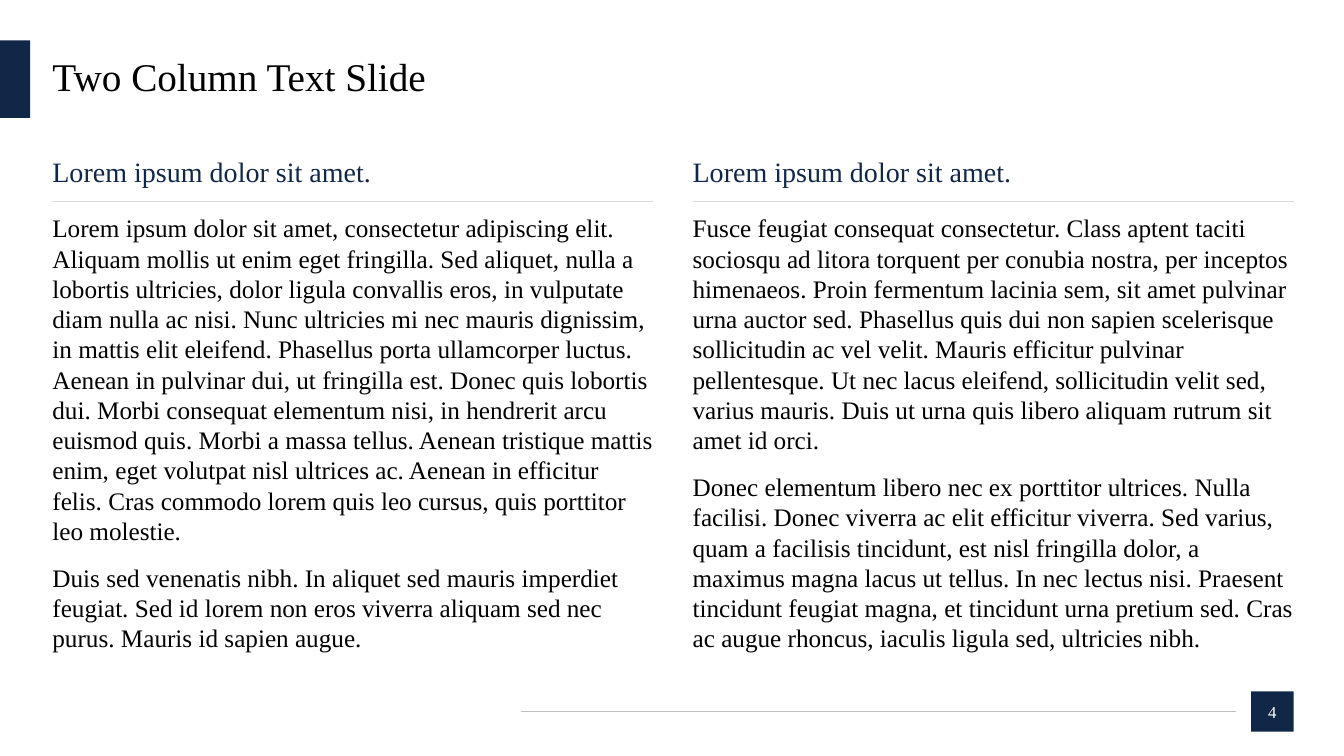
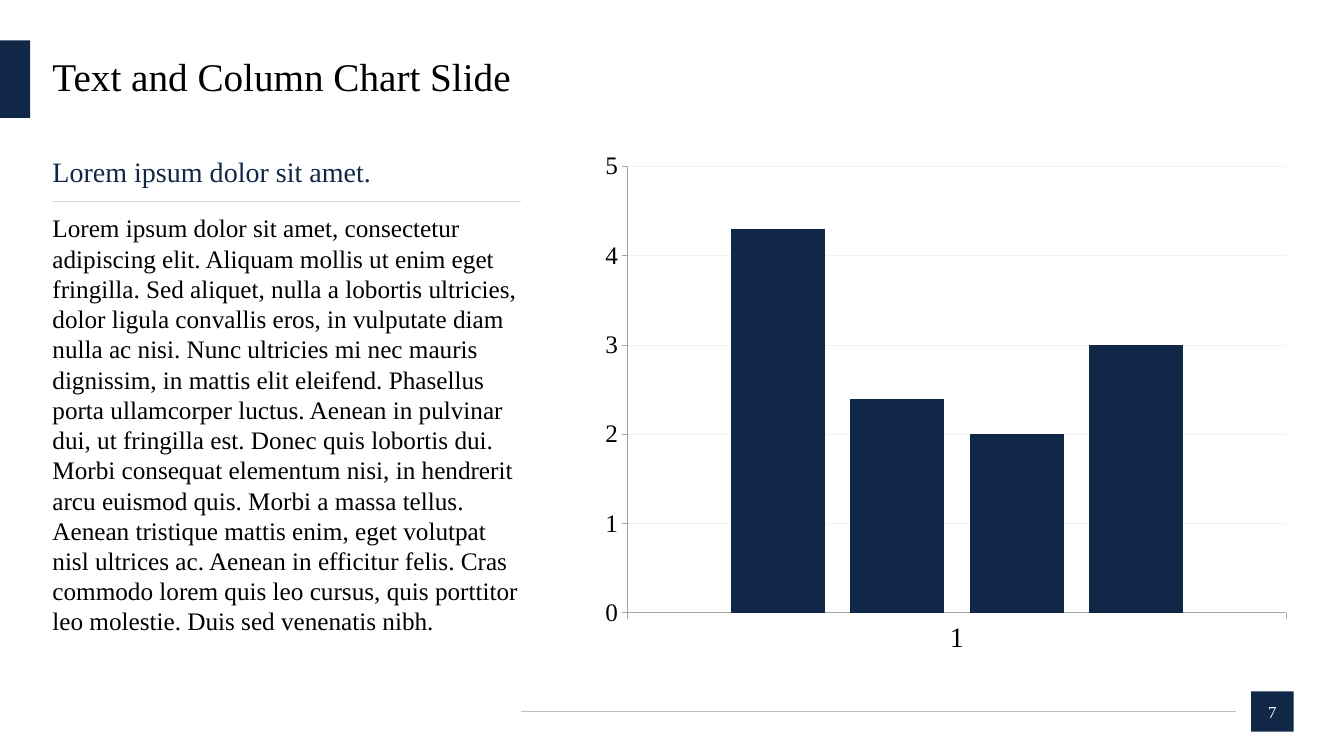
from lxml import etree
from pptx import Presentation
from pptx.chart.data import CategoryChartData
from pptx.dml.color import RGBColor
from pptx.enum.chart import XL_CHART_TYPE as ChartType, XL_TICK_MARK as Tick
from pptx.enum.shapes import MSO_CONNECTOR as Connector, MSO_SHAPE as Shape
from pptx.enum.text import MSO_ANCHOR as Anchor, MSO_AUTO_SIZE as AutoSize, PP_ALIGN as Align
from pptx.oxml import parse_xml
from pptx.oxml.ns import nsdecls, qn
from pptx.util import Inches, Pt

FONT = "Times New Roman"
NAVY, BLACK, WHITE = "102747", "000000", "FFFFFF"
FOOTER_GRAY, RULE_GRAY, AXIS_GRAY, GRID_GRAY = "BFBFBF", "D9D9D9", "A6A6A6", "F2F2F2"

# Shared grid, in inches
LEFT, RIGHT = 0.52, 12.83
BAND_TOP, BAND_HEIGHT = 0.4, 0.77
HEADING_TOP, RULE_Y, BODY_TOP, BODY_BOTTOM = 1.53, 2, 2.11, 6.59
HALF_WIDTH, NARROW_WIDTH = 5.96, 4.65
FOOTER_Y = 7.06

HEADING = "Lorem ipsum dolor sit amet."
LOREM = (
    "Lorem ipsum dolor sit amet, consectetur adipiscing elit. Aliquam mollis ut enim eget "
    "fringilla. Sed aliquet, nulla a lobortis ultricies, dolor ligula convallis eros, in "
    "vulputate diam nulla ac nisi. Nunc ultricies mi nec mauris dignissim, in mattis elit "
    "eleifend. Phasellus porta ullamcorper luctus. Aenean in pulvinar dui, ut fringilla est. "
    "Donec quis lobortis dui. Morbi consequat elementum nisi, in hendrerit arcu euismod quis. "
    "Morbi a massa tellus. Aenean tristique mattis enim, eget volutpat nisl ultrices ac. "
    "Aenean in efficitur felis. Cras commodo lorem quis leo cursus, quis porttitor leo molestie."
)
DUIS = "Duis sed venenatis nibh."
DUIS_REST = (
    " In aliquet sed mauris imperdiet feugiat. Sed id lorem non eros viverra aliquam sed nec "
    "purus. Mauris id sapien augue."
)
FUSCE = (
    "Fusce feugiat consequat consectetur. Class aptent taciti sociosqu ad litora torquent per "
    "conubia nostra, per inceptos himenaeos. Proin fermentum lacinia sem, sit amet pulvinar "
    "urna auctor sed. Phasellus quis dui non sapien scelerisque sollicitudin ac vel velit. "
    "Mauris efficitur pulvinar pellentesque. Ut nec lacus eleifend, sollicitudin velit sed, "
    "varius mauris. Duis ut urna quis libero aliquam rutrum sit amet id orci."
)
DONEC = (
    "Donec elementum libero nec ex porttitor ultrices. Nulla facilisi. Donec viverra ac elit "
    "efficitur viverra. Sed varius, quam a facilisis tincidunt, est nisl fringilla dolor, a "
    "maximus magna lacus ut tellus. In nec lectus nisi. Praesent tincidunt feugiat magna, et "
    "tincidunt urna pretium sed. Cras ac augue rhoncus, iaculis ligula sed, ultricies nibh."
)


def rgb(color):
    return RGBColor.from_string(color)


def style_font(font, size, color):
    font.name, font.size = FONT, Pt(size)
    font.color.rgb = rgb(color)


def style_line(line, color, width):
    line.color.rgb = rgb(color)
    line.width = Pt(width)


def clear_margins(frame):
    frame.margin_left = frame.margin_right = frame.margin_top = frame.margin_bottom = 0
    frame.word_wrap = True


class Deck:
    def __init__(self):
        self.prs = Presentation()
        self.prs.slide_width, self.prs.slide_height = Inches(13.33), Inches(7.5)
        self.slide = None

    def new_slide(self, title, number):
        """Start a slide with its title, accent band and footer."""
        self.slide = self.prs.slides.add_slide(self.prs.slide_layouts[5])
        self.title(title)
        self.block(0, BAND_TOP, 0.3, BAND_HEIGHT)
        self.page_number(number)
        self.rule(5.17, 12.26, FOOTER_Y, FOOTER_GRAY)

    def title(self, text):
        title = self.slide.shapes.title
        title.left, title.top = Inches(LEFT), Inches(BAND_TOP)
        title.width, title.height = Inches(RIGHT - LEFT), Inches(BAND_HEIGHT)
        frame = title.text_frame
        frame.text = text
        clear_margins(frame)
        frame.auto_size = AutoSize.NONE
        frame.vertical_anchor = Anchor.MIDDLE
        heading = frame.paragraphs[0]
        heading.alignment, heading.line_spacing = Align.LEFT, 0.9
        style_font(heading.runs[0].font, 28, BLACK)

    def block(self, left, top, width, height):
        block = self.slide.shapes.add_shape(
            Shape.RECTANGLE, Inches(left), Inches(top), Inches(width), Inches(height))
        block.shadow.inherit = False
        block.fill.solid()
        block.fill.fore_color.rgb = rgb(NAVY)
        block.line.fill.background()
        return block

    def page_number(self, number):
        width, height = 0.42, 0.4
        frame = self.block(RIGHT - width, FOOTER_Y - height / 2, width, height).text_frame
        frame.text = str(number)
        frame.vertical_anchor = Anchor.MIDDLE
        frame.paragraphs[0].alignment = Align.CENTER
        style_font(frame.paragraphs[0].runs[0].font, 12, WHITE)

    def rule(self, start, end, y, color):
        rule = self.slide.shapes.add_connector(
            Connector.STRAIGHT, Inches(start), Inches(y), Inches(end), Inches(y))
        style_line(rule.line, color, 0.5)
        etree.SubElement(rule.element.spPr, qn("a:effectLst"))

    def text(self, left, top, width, height, paragraphs, size, color):
        box = self.slide.shapes.add_textbox(
            Inches(left), Inches(top), Inches(width), Inches(height))
        frame = box.text_frame
        frame.text = "\n".join(paragraphs)
        clear_margins(frame)
        for paragraph in frame.paragraphs:
            paragraph.space_after = Pt(12)
            style_font(paragraph.runs[0].font, size, color)
        return frame

    def column(self, left, width, heading, paragraphs):
        """Heading, thin rule and body text."""
        frame = self.text(left, HEADING_TOP, width, 0.34, [heading], 20, NAVY)
        frame.auto_size = AutoSize.SHAPE_TO_FIT_TEXT
        self.rule(left, left + width, RULE_Y, RULE_GRAY)
        self.text(left, BODY_TOP, width, BODY_BOTTOM - BODY_TOP, paragraphs, 18, BLACK)

    def column_chart(self, left, top, category, values):
        data = CategoryChartData()
        data.categories = [category]
        for index, value in enumerate(values, 1):
            data.add_series(f"Series {index}", [value])
        chart = self.slide.shapes.add_chart(
            ChartType.COLUMN_CLUSTERED, Inches(left), Inches(top),
            Inches(RIGHT - left), Inches(BODY_BOTTOM - top), data).chart
        chart.has_legend = chart.has_title = False
        style_font(chart.font, 10, BLACK)

        plot = chart.plots[0]
        plot.gap_width, plot.overlap, plot.vary_by_categories = 219, -27, False
        for series in plot.series:
            series.format.fill.solid()
            series.format.fill.fore_color.rgb = rgb(NAVY)

        for axis, size in ((chart.category_axis, 20), (chart.value_axis, 18)):
            axis.major_tick_mark, axis.minor_tick_mark = Tick.OUTSIDE, Tick.NONE
            style_font(axis.tick_labels.font, size, BLACK)
            style_line(axis.format.line, AXIS_GRAY, 0.75)
        scale = chart.value_axis
        scale.minimum_scale, scale.maximum_scale, scale.major_unit = 0, 5, 1
        scale.has_major_gridlines = True
        style_line(scale.major_gridlines.format.line, GRID_GRAY, 0.75)
        self.place_plot(chart, x=0.07, y=0.03, w=0.92, h=0.87)

    @staticmethod
    def place_plot(chart, **fractions):
        """Fix the inner plot area as fractions of the chart."""
        area = chart.element.find(".//" + qn("c:plotArea"))
        for layout in area.findall(qn("c:layout")):
            area.remove(layout)
        modes = "".join(f'<c:{axis}Mode val="edge"/>' for axis in "xy")
        sizes = "".join(f'<c:{key} val="{value}"/>' for key, value in fractions.items())
        area.insert(0, parse_xml(
            f'<c:layout {nsdecls("c")}><c:manualLayout><c:layoutTarget val="inner"/>'
            f"{modes}{sizes}</c:manualLayout></c:layout>"))


def main():
    deck = Deck()

    # Two text columns
    deck.new_slide("Two Column Text Slide", 4)
    deck.column(LEFT, HALF_WIDTH, HEADING, [LOREM, DUIS + DUIS_REST])
    deck.column(RIGHT - HALF_WIDTH, HALF_WIDTH, HEADING, [FUSCE, DONEC])

    # Text beside a column chart
    deck.new_slide("Text and Column Chart Slide", 7)
    deck.column_chart(5.73, 1.5, "1", [4.3, 2.4, 2, 3])
    deck.column(LEFT, NARROW_WIDTH, HEADING, [f"{LOREM} {DUIS}"])

    deck.prs.save("out.pptx")


if __name__ == "__main__":
    main()
